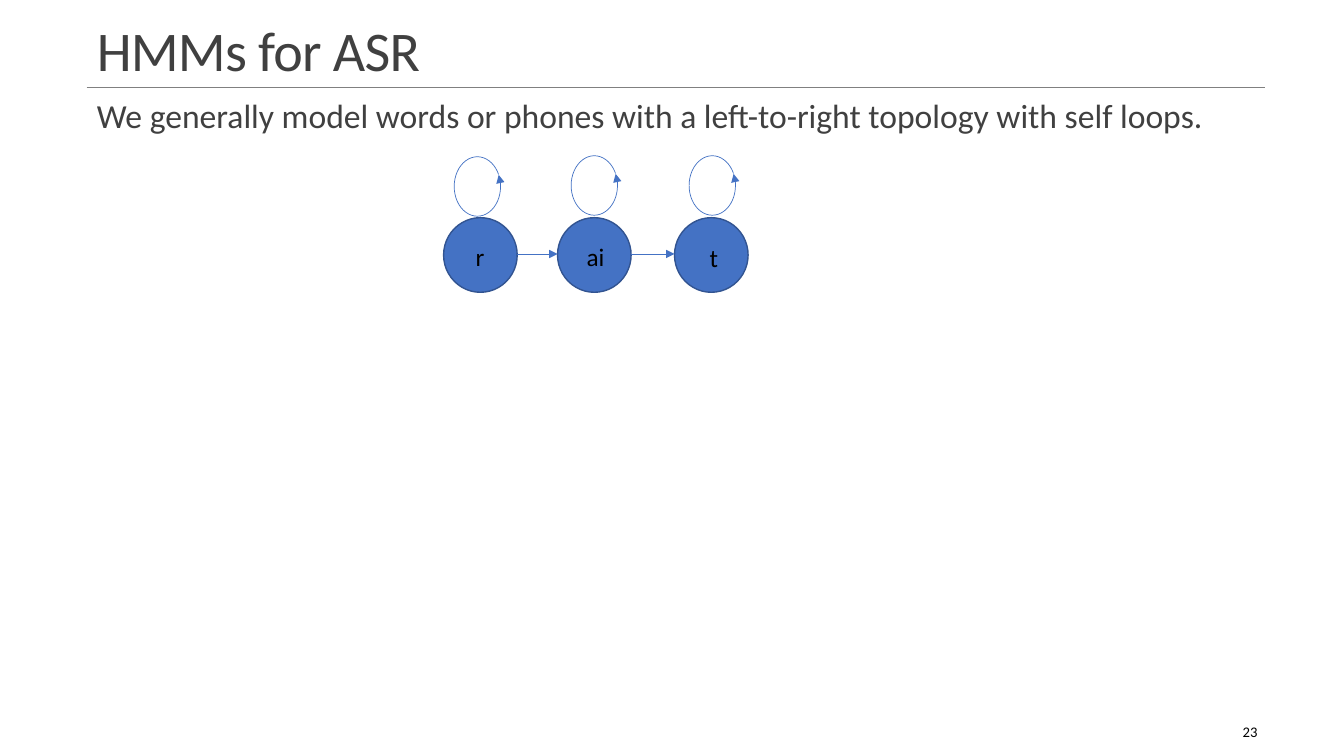
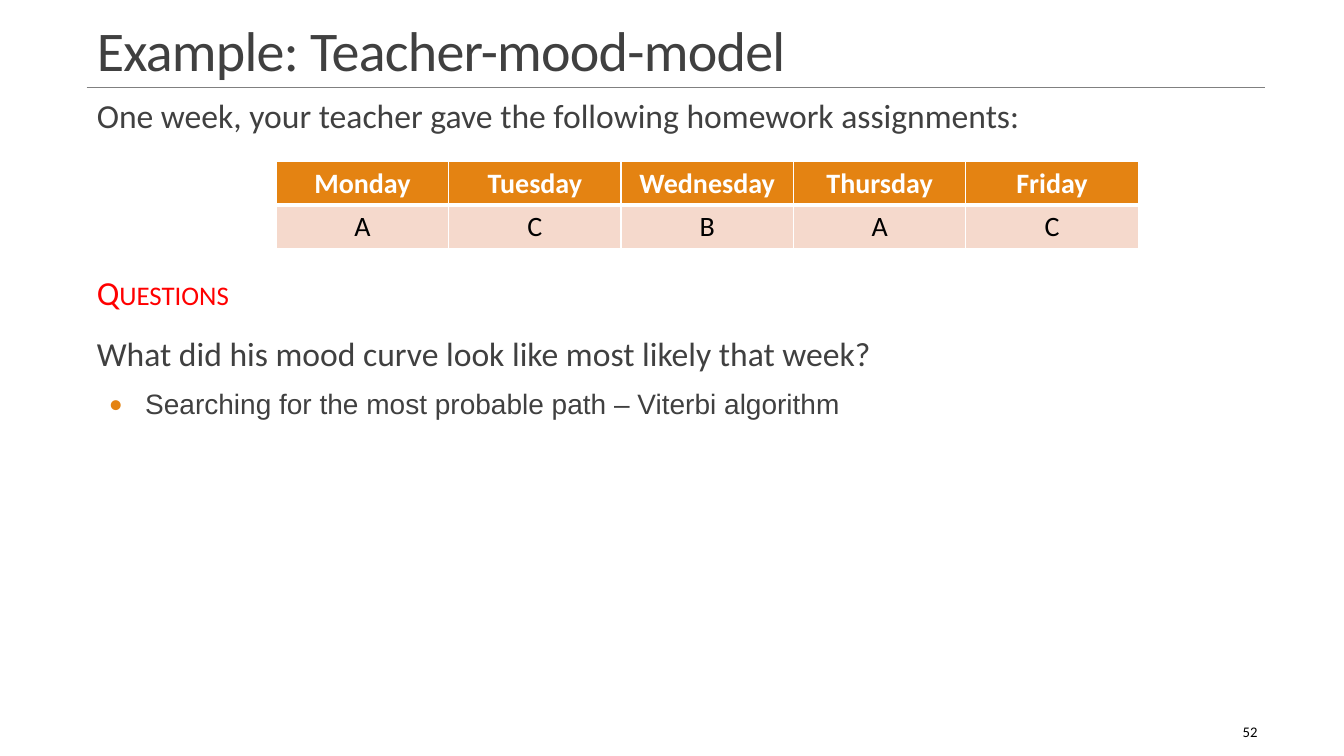
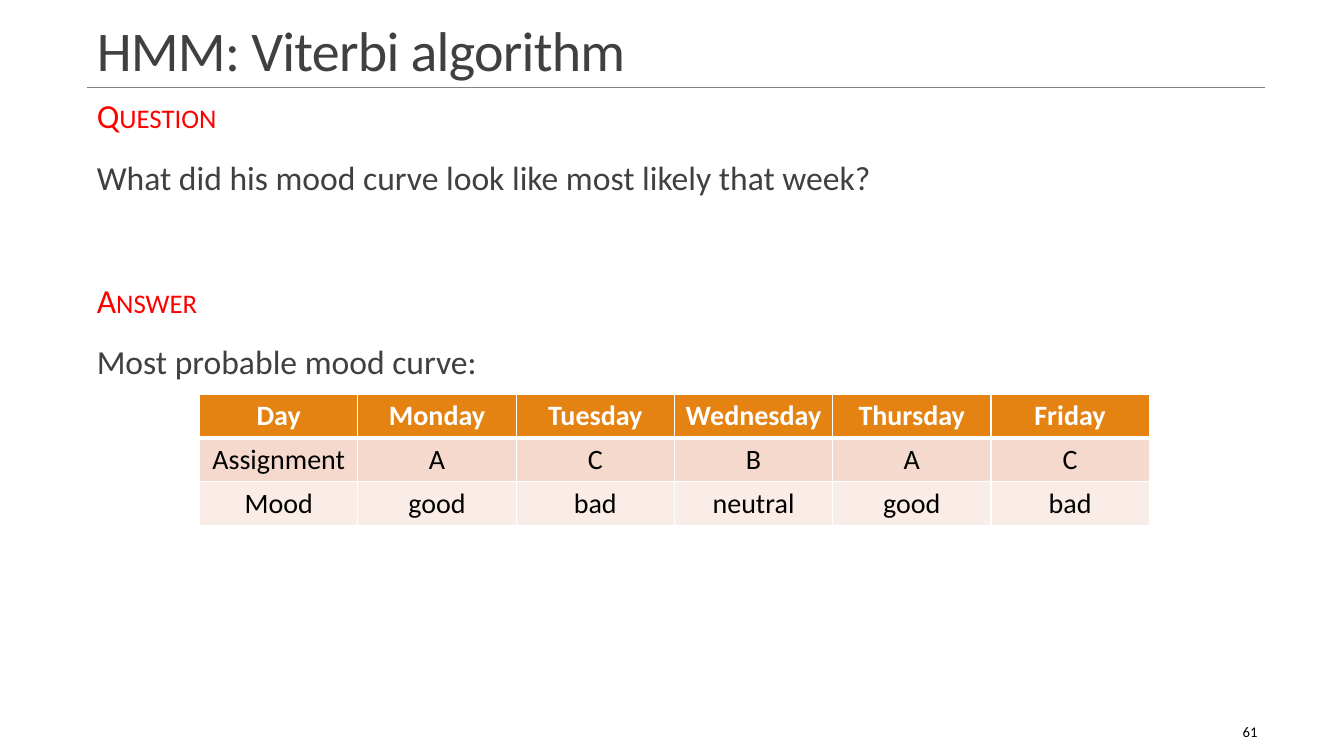
import pptx
import pptx.dml.color
import pptx.enum.shapes
import pptx.enum.text
import pptx.oxml
import pptx.oxml.ns
import pptx.util

Inches = pptx.util.Inches
Pt = pptx.util.Pt
MSO_SHAPE = pptx.enum.shapes.MSO_SHAPE
PP_ALIGN = pptx.enum.text.PP_ALIGN
MSO_ANCHOR = pptx.enum.text.MSO_ANCHOR


def rgb(color):
    return pptx.dml.color.RGBColor.from_string(color)


def add_xml(parent, xml):
    """Append a DrawingML element, given without its namespace declaration."""
    tag, _, rest = xml[:-2].partition(" ")
    ns = pptx.oxml.ns.nsdecls("a")
    parent.append(pptx.oxml.parse_xml(f"{tag} {ns} {rest}/>"))


def outline(sp):
    return sp._element.spPr.find(pptx.oxml.ns.qn("a:ln"))


class Deck:
    FONT = "Calibri"
    TEXT, BLACK, WHITE, RED = "404040", "000000", "FFFFFF", "FF0000"
    RULE, ORANGE, BLUE, NAVY = "808080", "E48312", "4472C4", "325491"
    BANDS = ("F5D9CC", "FAEDE7")
    LEFT, WIDTH = 0.86, 11.7

    def __init__(self):
        self.prs = pptx.Presentation()
        self.prs.slide_width = Inches(13.33)
        self.prs.slide_height = Inches(7.5)
        self.slide = None

    # Shared parts of every slide
    def new_slide(self, title, number):
        self.slide = self.prs.slides.add_slide(self.prs.slide_layouts[1])
        self.line(self.LEFT, 12.55, 0.87, self.RULE)
        tf = self.place(self.slide.shapes.title, 0.13, 0.74)
        tf.vertical_anchor = MSO_ANCHOR.BOTTOM
        p = tf.paragraphs[0]
        p.alignment = PP_ALIGN.LEFT
        p.line_spacing = 0.85
        self.set_text(p, title, 40, self.TEXT)
        p.runs[0]._r.get_or_add_rPr().set("spc", "-50")
        self.label(str(number), 11.14, 7.06, 1.43, 10.5, PP_ALIGN.RIGHT, MSO_ANCHOR.MIDDLE)

        tf = self.place(self.slide.placeholders[1], 0.94, 5.95)
        tf.margin_left = tf.margin_right = 0
        tf.vertical_anchor = MSO_ANCHOR.TOP

    def place(self, sp, top, height):
        sp.left, sp.top = Inches(self.LEFT), Inches(top)
        sp.width, sp.height = Inches(self.WIDTH), Inches(height)
        tf = sp.text_frame
        tf.word_wrap = True
        tf.auto_size = pptx.enum.text.MSO_AUTO_SIZE.NONE
        return tf

    def set_text(self, p, text, size, color, bold=False, font=FONT):
        p.add_run().text = text
        p.font.name, p.font.size, p.font.bold = font, Pt(size), bold
        p.font.color.rgb = rgb(color)

    # Body text
    def paragraph(self, margin, indent, before):
        tf = self.slide.placeholders[1].text_frame
        p = tf.paragraphs[0]
        if p.runs:
            p = tf.add_paragraph()
        p.line_spacing = 0.9
        p.space_before, p.space_after = Pt(before), Pt(6)
        pPr = p._p.get_or_add_pPr()
        pPr.set("marL", str(Inches(margin)))
        pPr.set("indent", str(Inches(indent)))
        return p, pPr

    def text(self, text, before=12, color=TEXT):
        p, pPr = self.paragraph(0.1, 0, before)
        add_xml(pPr, "<a:buNone/>")
        self.set_text(p, text, 24, color)
        return p

    def heading(self, text, before=12):
        p = self.text(text, before, self.RED)
        p.runs[0]._r.get_or_add_rPr().set("cap", "small")

    def bullet(self, text):
        p, pPr = self.paragraph(0.58, -0.36, 6)
        p.level = 1
        add_xml(pPr, "<a:buClr/>")
        add_xml(pPr[-1], f'<a:srgbClr val="{self.ORANGE}"/>')
        add_xml(pPr, '<a:buFont typeface="Calibri"/>')
        add_xml(pPr, '<a:buChar char="•"/>')
        self.set_text(p, text, 20, self.TEXT, font="Arial")

    # Drawing
    def label(self, text, x, y, w, size=18, align=PP_ALIGN.LEFT, anchor=MSO_ANCHOR.TOP):
        sp = self.slide.shapes.add_textbox(Inches(x), Inches(y), Inches(w), Inches(0.4))
        tf = sp.text_frame
        tf.word_wrap = True
        tf.vertical_anchor = anchor
        p = tf.paragraphs[0]
        p.alignment = align
        self.set_text(p, text, size, self.BLACK)

    def line(self, x1, x2, y, color, arrow=False):
        cx = self.slide.shapes.add_connector(
            pptx.enum.shapes.MSO_CONNECTOR.STRAIGHT, Inches(x1), Inches(y), Inches(x2), Inches(y))
        cx.line.color.rgb = rgb(color)
        cx.line.width = Pt(0.5)
        if arrow:
            add_xml(outline(cx), '<a:tailEnd type="triangle"/>')
        add_xml(cx._element.spPr, "<a:effectLst/>")

    def shape(self, kind, x, y, w, h, color, width):
        sp = self.slide.shapes.add_shape(kind, Inches(x), Inches(y), Inches(w), Inches(h))
        sp.shadow.inherit = False
        sp.line.color.rgb = rgb(color)
        sp.line.width = Pt(width)
        return sp

    def state(self, x):
        sp = self.shape(MSO_SHAPE.OVAL, x, 2.16, 0.73, 0.74, self.NAVY, 1)
        sp.fill.solid()
        sp.fill.fore_color.rgb = rgb(self.BLUE)

    def self_loop(self, x, y):
        sp = self.shape(MSO_SHAPE.ARC, x, y, 0.59, 0.46, self.BLUE, 0.5)
        sp.fill.background()
        sp.rotation = 270
        # Angles are in 60000ths of a degree, adjustments in 100000ths
        sp.adjustments[0], sp.adjustments[1] = 61.32 * 0.6, 60.48 * 0.6
        add_xml(outline(sp), '<a:headEnd type="triangle"/>')

    # Table
    def table(self, x, y, col_width, rows):
        row_height = 0.43
        n_rows, n_cols = len(rows), len(rows[0])
        table = self.slide.shapes.add_table(
            n_rows, n_cols, Inches(x), Inches(y),
            Inches(col_width * n_cols), Inches(row_height * n_rows)).table
        for i, row in enumerate(rows):
            for j, text in enumerate(row):
                self.cell(table.cell(i, j), text, i)

    def cell(self, cell, text, row):
        header = row == 0
        widths = {"L": 1, "R": 1, "T": 3 if row == 1 else 1, "B": 3 if header else 1}
        tcPr = cell._tc.get_or_add_tcPr()
        for side, width in widths.items():
            add_xml(tcPr, f'<a:ln{side} w="{Pt(width)}"/>')
            add_xml(tcPr[-1], "<a:solidFill/>")
            add_xml(tcPr[-1][0], f'<a:srgbClr val="{self.WHITE}"/>')
        cell.fill.solid()
        cell.fill.fore_color.rgb = rgb(self.ORANGE if header else self.BANDS[(row - 1) % 2])
        cell.vertical_anchor = MSO_ANCHOR.TOP if header else MSO_ANCHOR.MIDDLE
        p = cell.text_frame.paragraphs[0]
        p.alignment = PP_ALIGN.CENTER
        self.set_text(p, text, 20, self.WHITE if header else self.BLACK, bold=header)


def main():
    deck = Deck()
    days = ["Monday", "Tuesday", "Wednesday", "Thursday", "Friday"]
    assignments = list("ACBAC")
    question = "What did his mood curve look like most likely that week?"

    # Left-to-right state chain
    deck.new_slide("HMMs for ASR", 23)
    deck.text("We generally model words or phones with a left-to-right topology with self loops.")
    states = [4.4, 5.53, 6.69]
    for x in states:
        deck.state(x)
    for x, following in zip(states, states[1:]):
        deck.line(x + 0.73, following, 2.52, deck.BLUE, arrow=True)
    for x, y in [(4.44, 1.62), (5.6, 1.61), (6.77, 1.61)]:
        deck.self_loop(x, y)
    for phone, x, y, w in [("r", 4.62, 2.34, 0.32), ("ai", 5.72, 2.34, 0.49), ("t", 6.94, 2.36, 0.49)]:
        deck.label(phone, x, y, w)

    # Homework week
    deck.new_slide("Example: Teacher-mood-model", 52)
    deck.text("One week, your teacher gave the following homework assignments:")
    deck.heading("Questions", before=94)
    deck.text(question)
    deck.bullet("Searching for the most probable path – Viterbi algorithm")
    deck.table(2.74, 1.6, 1.71, [days, assignments])

    # Most probable moods
    deck.new_slide("HMM: Viterbi algorithm", 61)
    deck.heading("Question")
    deck.text(question)
    deck.heading("Answer", before=56)
    deck.text("Most probable mood curve:")
    deck.table(1.98, 3.91, 1.57, [
        ["Day"] + days,
        ["Assignment"] + assignments,
        ["Mood", "good", "bad", "neutral", "good", "bad"],
    ])

    deck.prs.save("out.pptx")


if __name__ == "__main__":
    main()
